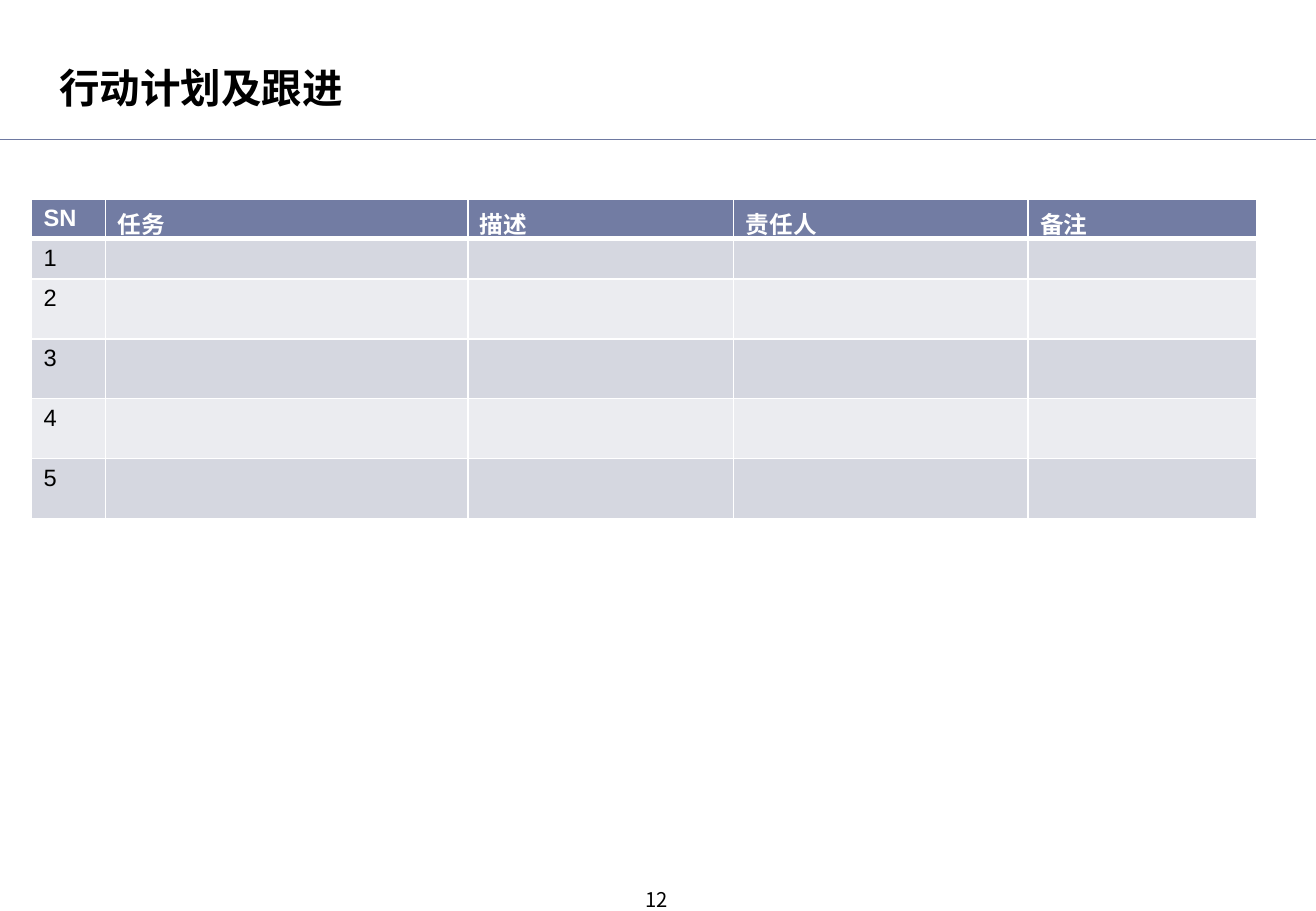
from typing import NamedTuple

from lxml import etree
from pptx import Presentation
from pptx.dml.color import RGBColor
from pptx.enum.shapes import MSO_CONNECTOR
from pptx.enum.text import MSO_ANCHOR, PP_ALIGN
from pptx.oxml.ns import qn
from pptx.util import Cm, Pt

WHITE = RGBColor(0xFF, 0xFF, 0xFF)
BLACK = RGBColor(0x00, 0x00, 0x00)
HEAD = RGBColor(0x72, 0x7C, 0xA3)
RULE = RGBColor(0x6E, 0x79, 0xA1)
BANDS = (RGBColor(0xD5, 0xD7, 0xE0), RGBColor(0xEB, 0xEC, 0xF0))

LEFT, CENTER = PP_ALIGN.LEFT, PP_ALIGN.CENTER
TOP, MIDDLE = MSO_ANCHOR.TOP, MSO_ANCHOR.MIDDLE
STRAIGHT = MSO_CONNECTOR.STRAIGHT

LATIN, HAN = "Arial", "Noto Sans CJK SC"
WIDTH, HEIGHT = 27.51, 19.05
TASKS = 5


class Column(NamedTuple):
    label: str
    width: float


class Label(NamedTuple):
    text: str
    box: tuple[float, float, float, float]
    size: int
    bold: bool
    align: PP_ALIGN
    anchor: MSO_ANCHOR
    pad: tuple[float, float]


COLUMNS = (
    Column("SN", 1.55),
    Column("任务", 7.57),
    Column("描述", 5.56),
    Column("责任人", 6.15),
    Column("备注", 4.78),
)
ROWS = [0.82, 0.82] + [1.25] * (TASKS - 1)
LABELS = (
    Label("12", (10.52, 18.57, 6.43, 0.48), 12, False, CENTER, MIDDLE, (0, 0)),
    Label("行动计划及跟进", (0.99, 1.19, 15.47, 1.27), 24, True, LEFT, TOP, (0.25, 0.13)),
)


def write(frame, text: str, *, size: int, font: str = LATIN,
          color: RGBColor = BLACK, bold: bool = False, align: PP_ALIGN = LEFT) -> None:
    para = frame.paragraphs[0]
    para.alignment = align
    if not text:
        # An empty cell keeps the text size, so its row does not grow
        etree.SubElement(para._p, qn("a:endParaRPr"), sz=str(size * 100))
        return
    run = para.add_run()
    run.text = text
    run.font.size, run.font.bold, run.font.name = Pt(size), bold, font
    run.font.color.rgb = color
    etree.SubElement(run._r.get_or_add_rPr(), qn("a:ea"), typeface=HAN)


def add_label(slide, label: Label) -> None:
    frame = slide.shapes.add_textbox(*map(Cm, label.box)).text_frame
    frame.word_wrap = True
    frame.vertical_anchor = label.anchor
    frame.margin_left = frame.margin_right = Cm(label.pad[0])
    frame.margin_top = frame.margin_bottom = Cm(label.pad[1])
    write(frame, label.text, size=label.size, font=HAN, bold=label.bold, align=label.align)


def add_rule(slide) -> None:
    line = slide.shapes.add_connector(STRAIGHT, 0, Cm(2.92), Cm(WIDTH), Cm(2.92))
    line.line.color.rgb = RULE
    line.line.width = Pt(0.75)
    etree.SubElement(line._element.spPr, qn("a:effectLst"))


def set_edges(cell, top: float, bottom: float) -> None:
    props = cell._tc.get_or_add_tcPr()
    for side, width in (("L", 1), ("R", 1), ("T", top), ("B", bottom)):
        edge = etree.SubElement(props, qn(f"a:ln{side}"), w=str(Pt(width)))
        fill = etree.SubElement(edge, qn("a:solidFill"))
        etree.SubElement(fill, qn("a:srgbClr"), val=str(WHITE))


def add_plan(slide) -> None:
    total = sum(col.width for col in COLUMNS)
    table = slide.shapes.add_table(
        len(ROWS), len(COLUMNS), Cm(0.66), Cm(4.17), Cm(total), Cm(sum(ROWS))).table
    for c, col in enumerate(COLUMNS):
        table.columns[c].width = Cm(col.width)
    for r, height in enumerate(ROWS):
        table.rows[r].height = Cm(height)
        head = r == 0
        for c, col in enumerate(COLUMNS):
            cell = table.cell(r, c)
            set_edges(cell, 3 if r == 1 else 1, 3 if head else 1)
            cell.fill.solid()
            cell.fill.fore_color.rgb = HEAD if head else BANDS[(r - 1) % 2]
            if head:
                cell.margin_bottom = 0
            text = col.label if head else str(r) if c == 0 else ""
            write(cell.text_frame, text, size=14, color=WHITE if head else BLACK, bold=head)


def main() -> None:
    deck = Presentation()
    deck.slide_width, deck.slide_height = Cm(WIDTH), Cm(HEIGHT)
    slide = deck.slides.add_slide(deck.slide_layouts[6])
    slide.background.fill.solid()
    slide.background.fill.fore_color.rgb = WHITE

    # Heading rule, page number and title
    add_rule(slide)
    for label in LABELS:
        add_label(slide, label)

    # Action plan
    add_plan(slide)
    deck.save("out.pptx")


if __name__ == "__main__":
    main()
